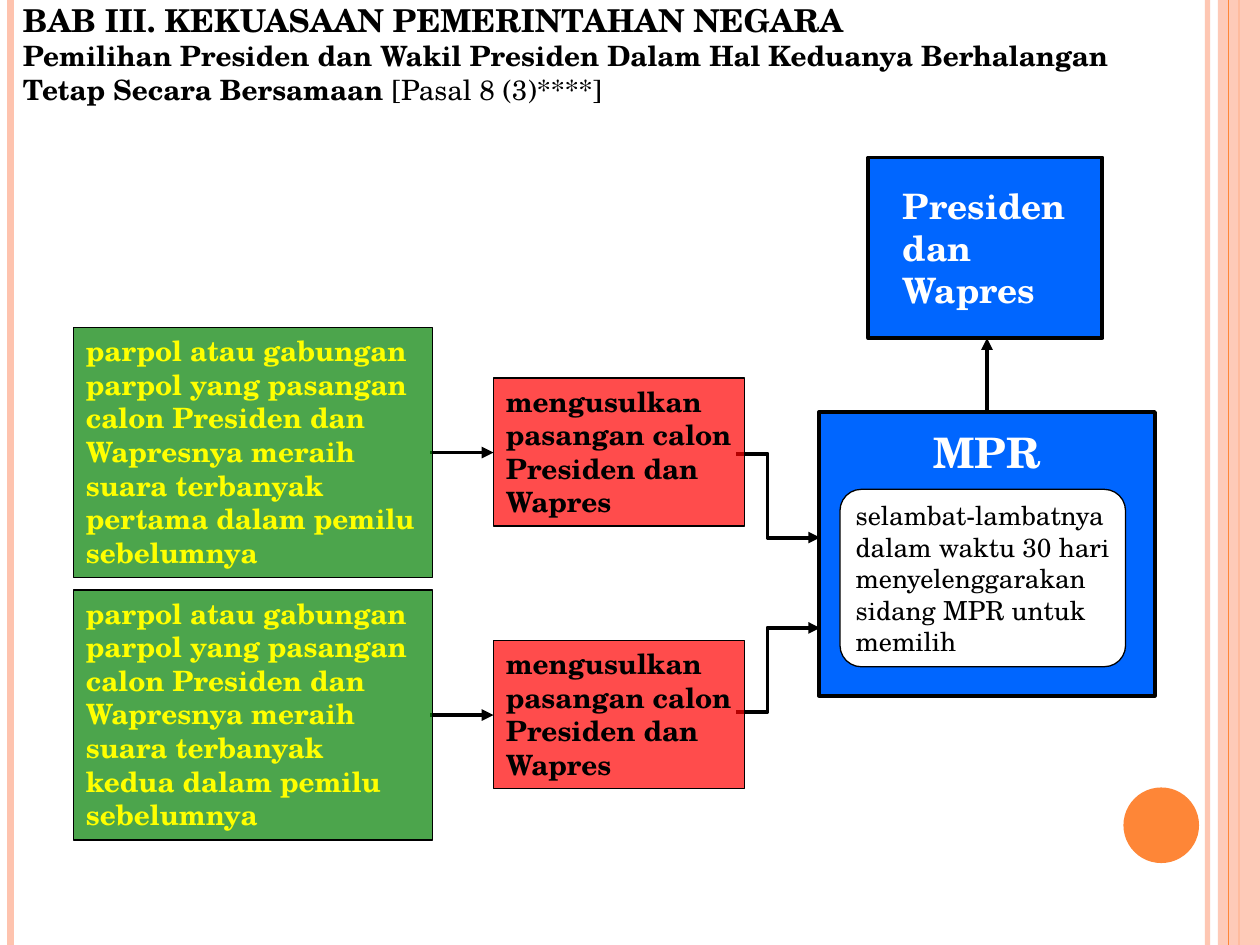
"""Build the slide on electing a President and Vice President under article 8 (3)."""
from lxml import etree
from pptx import Presentation, util as u
from pptx.dml.color import RGBColor
from pptx.enum import shapes, text
from pptx.oxml import ns

COLUMNS, ROWS = 120, 90
CELL = u.Inches(10) // COLUMNS
FONT = "TeX Gyre Schola"
PINK, ORANGE, BLUE, BLACK, WHITE = "FEC3AE", "FE8637", "0066FF", "000000", "FFFFFF"
RECT, ROUND, OVAL = (
    shapes.MSO_SHAPE.RECTANGLE,
    shapes.MSO_SHAPE.ROUNDED_RECTANGLE,
    shapes.MSO_SHAPE.OVAL,
)
TOP, MIDDLE = text.MSO_ANCHOR.TOP, text.MSO_ANCHOR.MIDDLE
LEFT, CENTER = text.PP_ALIGN.LEFT, text.PP_ALIGN.CENTER


def paint(fill, color, opacity=100):
    fill.solid()
    fill.fore_color.rgb = RGBColor.from_string(color)
    if opacity < 100:
        tone = fill._xPr.find(".//" + ns.qn("a:srgbClr"))
        etree.SubElement(tone, ns.qn("a:alpha"), val=str(opacity * 1000))


def write(box, paragraphs, size, color, bold=True, anchor=TOP, align=LEFT, insets=(1.2, 0.6, 1.2, 0.6)):
    frame = box.text_frame
    frame.word_wrap = True
    frame.vertical_anchor = anchor
    for side, inset in zip(("left", "top", "right", "bottom"), insets):
        setattr(frame, f"margin_{side}", int(inset * CELL))
    for index, runs in enumerate(paragraphs):
        para = frame.add_paragraph() if index else frame.paragraphs[0]
        para.alignment = align
        for words, changes in runs:
            span = para.add_run()
            span.text = words
            look = {"name": FONT, "size": u.Pt(size), "bold": bold, **changes}
            for name, value in look.items():
                setattr(span.font, name, value)
            paint(span.font.fill, color)


deck = Presentation()
deck.slide_width, deck.slide_height = COLUMNS * CELL, ROWS * CELL
page = deck.slides.add_slide(deck.slide_layouts[6])

stripes = [
    {"points": [(column, 0), (column, ROWS)], "color": color, "width": width, "opacity": opacity}
    for column, color, width, opacity in [
        (115, PINK, 3, 93), (1, PINK, 4.5, 100), (118, ORANGE, 1.5, 100), (117, ORANGE, 0.75, 100),
    ]
]
decoration = stripes[:3] + [
    {"grid": (116, 0, 4, ROWS), "color": PINK, "opacity": 87},
    stripes[3],
    {"grid": (107, 75, 7.2, 7.2), "kind": OVAL, "color": ORANGE},
]
outcome = [
    {"grid": (78, 39.25, 32, 27), "color": BLUE, "width": 2.25,
     "text": {"paragraphs": [[("MPR", {})]], "size": 24, "color": WHITE,
              "align": CENTER, "insets": (0, 1.4, 0, 0)}},
    {"grid": (82.7, 15, 22.3, 17.2), "color": BLUE, "width": 2.25,
     "text": {"paragraphs": [[(word, {})] for word in ("Presiden", "dan", "Wapres")],
              "size": 20, "color": WHITE, "anchor": MIDDLE, "insets": (3.3, 0, 0, 0)}},
    {"grid": (80, 46.6, 27.2, 16.9), "kind": ROUND, "color": WHITE, "width": 0.75,
     "text": {"paragraphs": [[("selambat-lambatnya dalam waktu 30 hari menyelenggarakan "
                               "sidang MPR untuk memilih", {})]],
              "size": 15, "color": BLACK, "bold": False, "anchor": MIDDLE,
              "insets": (0.9, 0.5, 0, 0.5)}},
]
routes = [
    [(41, 43.1), (47, 43.1)],
    [(41, 68.1), (47, 68.1)],
    [(70.1, 67.8), (73.1, 67.8), (73.1, 59.8), (78.1, 59.8)],
    [(70.1, 43.2), (73.1, 43.2), (73.1, 51.2), (78.1, 51.2)],
    [(94, 39.25), (94, 32.2)],
]
arrows = [{"points": route, "color": BLACK, "width": 2.25, "arrow": True} for route in routes]
party = "parpol atau gabungan parpol yang pasangan calon Presiden dan Wapresnya meraih suara terbanyak"
proposers = []
for drop, party_lines in [
    (0, [party + " pertama dalam pemilu sebelumnya"]),
    (25, [party, "kedua dalam pemilu sebelumnya"]),
]:
    for grid, color, ink, lines in [
        ((7, 31.2 + drop, 34.2, 23.8), "008000", "FFFF00", party_lines),
        ((47, 36 + drop, 23.9, 14.1), "FF0000", BLACK,
         ["mengusulkan pasangan calon Presiden dan Wapres"]),
    ]:
        proposers.append({"grid": grid, "color": color, "opacity": 70, "width": 0.75,
                          "text": {"paragraphs": [[(line, {})] for line in lines],
                                   "size": 16, "color": ink}})

for item in decoration + outcome + arrows + proposers:
    opacity = item.get("opacity", 100)
    if "points" in item:
        points = [(int(x * CELL), int(y * CELL)) for x, y in item["points"]]
        if len(points) == 2:
            stroke = page.shapes.add_connector(shapes.MSO_CONNECTOR.STRAIGHT, *points[0], *points[1])
        else:
            builder = page.shapes.build_freeform(*points[0])
            builder.add_line_segments(points[1:], close=False)
            stroke = builder.convert_to_shape()
            stroke.fill.background()
        stroke.line.width = u.Pt(item["width"])
        paint(stroke.line.fill, item["color"], opacity)
        if "arrow" in item:
            outline = stroke.line._get_or_add_ln()
            etree.SubElement(outline, ns.qn("a:tailEnd"), type="triangle")
        etree.SubElement(stroke._element.spPr, ns.qn("a:effectLst"))
        continue
    box = page.shapes.add_shape(item.get("kind", RECT), *(int(n * CELL) for n in item["grid"]))
    box.shadow.inherit = False
    paint(box.fill, item["color"], opacity)
    if item.get("kind") == ROUND:
        box.adjustments[0] = 0.12
    if "width" in item:
        box.line.width = u.Pt(item["width"])
        paint(box.line.fill, BLACK)
    else:
        box.line.fill.background()
    if "text" in item:
        write(box, **item["text"])

title = page.shapes.add_textbox(*(int(n * CELL) for n in (1, -0.5, 112, 11.5)))
write(title, [
    [("BAB III. KEKUASAAN PEMERINTAHAN NEGARA", {"size": u.Pt(18)})],
    [("Pemilihan Presiden dan Wakil Presiden Dalam Hal Keduanya Berhalangan "
      "Tetap Secara Bersamaan ", {}), ("[Pasal 8 (3)****]", {"bold": False})],
], 16, BLACK)

deck.save("out.pptx")
